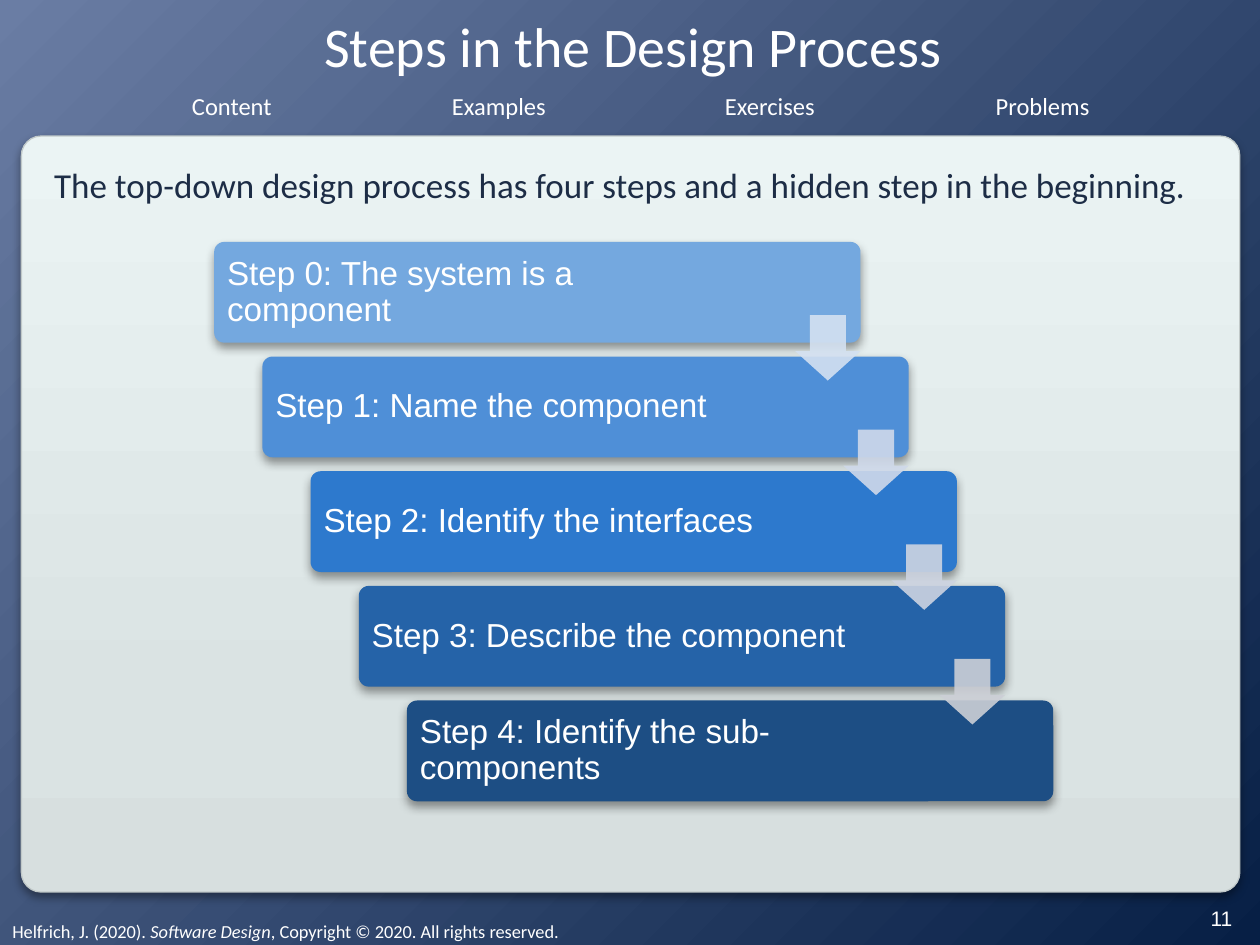
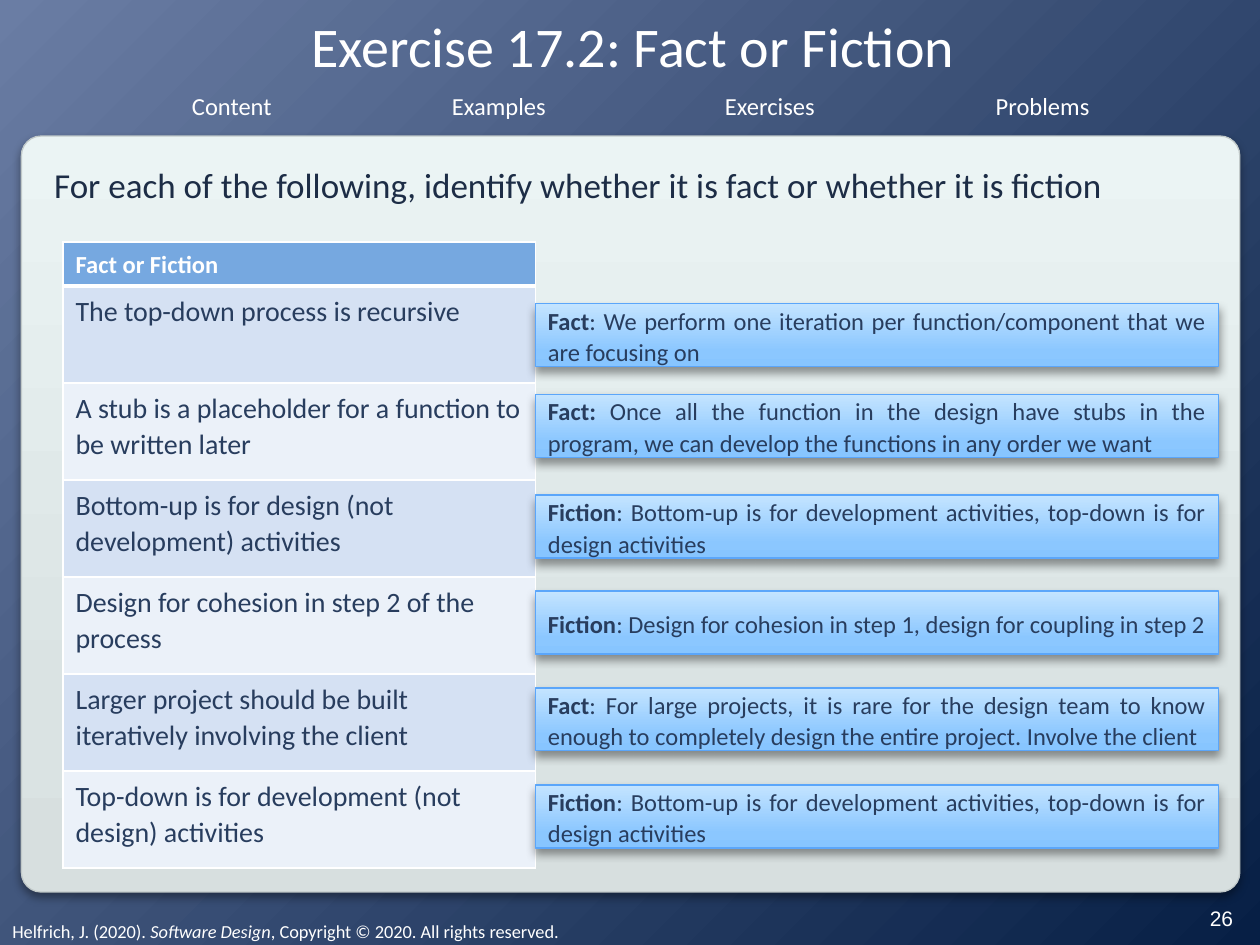
from copy import deepcopy

from lxml.etree import SubElement
from pptx import Presentation
from pptx.dml.color import RGBColor
from pptx.enum.shapes import MSO_SHAPE
from pptx.enum.text import MSO_ANCHOR, MSO_AUTO_SIZE, PP_ALIGN
from pptx.oxml import parse_xml
from pptx.oxml.ns import nsdecls, qn
from pptx.util import Inches, Pt

WHITE = RGBColor(0xFF, 0xFF, 0xFF)
INK = RGBColor(0x1D, 0x2D, 0x46)
SLATE = RGBColor(0x28, 0x3D, 0x5E)
BACKDROP = [RGBColor(0x6A, 0x7D, 0xA4), RGBColor(0x07, 0x1F, 0x45)]
PANEL = [RGBColor(0xD7, 0xDF, 0xDF), RGBColor(0xDA, 0xE3, 0xE3), RGBColor(0xEB, 0xF4, 0xF4)]
PANEL_LINE = RGBColor(0xC1, 0xC9, 0xC9)
ANSWER = [RGBColor(0x87, 0xC5, 0xFF), RGBColor(0x8B, 0xC7, 0xFF), RGBColor(0xC4, 0xE4, 0xFF)]
ANSWER_LINE = RGBColor(0x5B, 0xA6, 0xFA)
HEADER = RGBColor(0x76, 0xA8, 0xE0)
BANDS = [RGBColor(0xEB, 0xF1, 0xF9), RGBColor(0xD5, 0xE1, 0xF3)]


def add_box(slide, kind, box, colors, line=None):
    """Add a shadowed shape; three colours give an upward gradient, one a solid fill."""
    sp = slide.shapes.add_shape(kind, *map(Inches, box))
    if len(colors) == 1:
        sp.fill.solid()
        sp.fill.fore_color.rgb = colors[0]
    else:
        sp.fill.gradient()
        sp.fill.gradient_angle = 90
        first = sp.element.xpath(".//a:gs")[0]
        first.addnext(deepcopy(first))
        for stop, position, color in zip(sp.fill.gradient_stops, (0, 0.25, 1), colors):
            stop.position = position
            stop.color.rgb = color
    if line is None:
        sp.line.fill.background()
    else:
        sp.line.color.rgb = line
        sp.line.width = Pt(0.75)
    sp.shadow.inherit = False
    sp.element.spPr.find(qn("a:effectLst")).append(parse_xml(
        f'<a:outerShdw {nsdecls("a")} blurRad="66040" dist="38100" dir="5400000" rotWithShape="0">'
        '<a:srgbClr val="000000"><a:alpha val="40000"/></a:srgbClr></a:outerShdw>'))
    return sp


def write(tf, parts, size, color=WHITE, font="Calibri", align=PP_ALIGN.LEFT, spacing=None):
    """Write the parts as runs of one paragraph and return it."""
    p = tf.paragraphs[0]
    p.alignment = align
    p.line_spacing = spacing
    for part in parts:
        r = p.add_run()
        r.text = part
        r.font.size = Pt(size)
        r.font.name = font
        r.font.color.rgb = color
    return p


prs = Presentation()
prs.slide_width, prs.slide_height = Inches(10), Inches(7.5)

# Shared layout: background, placeholders, panel, navigation, footer
layout = prs.slide_layouts[1]
title_ph, body_ph, *unused = layout.placeholders
for ph in unused:
    ph.element.getparent().remove(ph.element)
for ph, box in ((title_ph, (0.22, 0.11, 9.61, 0.5)), (body_ph, (0.33, 1.25, 9.33, 0.5))):
    ph.left, ph.top, ph.width, ph.height = map(Inches, box)

fill = layout.background.fill
fill.gradient()
for stop, color in zip(fill.gradient_stops, BACKDROP):
    stop.color.rgb = color
lin = layout.element.xpath(".//p:bgPr//a:lin")[0]
lin.getparent().replace(lin, parse_xml(
    f'<a:path {nsdecls("a")} path="circle"><a:fillToRect r="100000" b="100000"/></a:path>'))

steps_slide, quiz_slide = (prs.slides.add_slide(layout) for _ in range(2))

panel = add_box(steps_slide, MSO_SHAPE.ROUNDED_RECTANGLE, (0.17, 1.08, 9.67, 6), PANEL, PANEL_LINE)
panel.adjustments[0] = 0.026
shared = [panel]
for label, left, width in (("Content", 1.42, 0.84), ("Examples", 3.48, 0.96),
                           ("Exercises", 5.65, 0.92), ("Problems", 7.8, 0.95)):
    nav = steps_slide.shapes.add_textbox(Inches(left), Inches(0.67), Inches(width), Inches(0.34))
    write(nav.text_frame, [label], 14, align=PP_ALIGN.CENTER)
    shared.append(nav)
footer = steps_slide.shapes.add_textbox(Inches(0), Inches(7.25), Inches(9), Inches(0.29))
footer.text_frame.word_wrap = True
p = write(footer.text_frame, ["Helfrich, J. (2020). ", "Software Design",
                              ", Copyright © 2020. All rights reserved."], 10.5)
p.runs[1].font.italic = True
shared.append(footer)
for sp in shared:
    layout.shapes.element.append(sp.element)

# Title, lead sentence and number of each slide
for slide, title, lead, number in (
    (steps_slide, "Steps in the Design Process",
     "The top-down design process has four steps and a hidden step in the beginning.", "11"),
    (quiz_slide, "Exercise 17.2: Fact or Fiction",
     "For each of the following, identify whether it is fact or whether it is fiction", "26"),
):
    tf = slide.shapes.title.text_frame
    tf.margin_left = tf.margin_right = tf.margin_top = tf.margin_bottom = 0
    tf.vertical_anchor = MSO_ANCHOR.MIDDLE
    write(tf, [title], 32, align=PP_ALIGN.CENTER)

    tf = slide.placeholders[1].text_frame
    tf.auto_size = MSO_AUTO_SIZE.NONE
    p = write(tf, [lead], 20, INK)
    p.space_before = Pt(0)
    pPr = p._p.get_or_add_pPr()
    pPr.set("marL", "0")
    pPr.set("indent", "0")
    SubElement(pPr, qn("a:buNone"))

    tf = slide.shapes.add_textbox(Inches(9.36), Inches(7.08), Inches(0.67), Inches(0.42)).text_frame
    tf.word_wrap = True
    tf.vertical_anchor = MSO_ANCHOR.MIDDLE
    write(tf, [number], 12, font="Arial", align=PP_ALIGN.CENTER)

# Slide 1: staircase of steps joined by arrows
STEPS = [
    ("Step 0: The system is a component", RGBColor(0x74, 0xA8, 0xDF)),
    ("Step 1: Name the component", RGBColor(0x4F, 0x8F, 0xD7)),
    ("Step 2: Identify the interfaces", RGBColor(0x2D, 0x79, 0xCD)),
    ("Step 3: Describe the component", RGBColor(0x25, 0x63, 0xA8)),
    ("Step 4: Identify the sub-components", RGBColor(0x1D, 0x4E, 0x84)),
]
ARROWS = [RGBColor(0xD4, 0xE1, 0xF1), RGBColor(0xCF, 0xD9, 0xEA),
          RGBColor(0xCD, 0xD4, 0xE1), RGBColor(0xCC, 0xCF, 0xD6)]
corners = [(1.7 + 1.53 * i / 4, 1.92 + 0.91 * i) for i in range(len(STEPS))]

for (text, color), (left, top) in zip(STEPS, corners):
    sp = add_box(steps_slide, MSO_SHAPE.ROUNDED_RECTANGLE, (left, top, 5.13, 0.8), [color])
    sp.adjustments[0] = 0.1
    tf = sp.text_frame
    tf.word_wrap = True
    tf.vertical_anchor = MSO_ANCHOR.MIDDLE
    tf.margin_left = tf.margin_top = tf.margin_bottom = Inches(0.08)
    tf.margin_right = Inches(0.99)
    write(tf, [text], 19, font="Arial", spacing=0.9)

for color, (left, top) in zip(ARROWS, corners):
    arrow = steps_slide.shapes.add_shape(MSO_SHAPE.DOWN_ARROW, Inches(left + 4.61),
                                         Inches(top + 0.58), Inches(0.52), Inches(0.52))
    arrow.adjustments[0], arrow.adjustments[1] = 0.55, 0.45
    arrow.shadow.inherit = False
    arrow.line.fill.background()
    arrow.fill.solid()
    arrow.fill.fore_color.rgb = color
    SubElement(arrow.element.spPr.find(qn("a:solidFill"))[0], qn("a:alpha"), val="90000")

# Slide 2: statements in a table, answers beside them
QUIZ = [
    ("The top-down process is recursive", 2.41,
     "Fact", ": We perform one iteration per function/component that we are focusing on"),
    ("A stub is a placeholder for a function to be written later", 3.13,
     "Fact: ", "Once all the function in the design have stubs in the program, "
     "we can develop the functions in any order we want"),
    ("Bottom-up is for design (not development) activities", 3.93,
     "Fiction", ": Bottom-up is for development activities, top-down is for design activities"),
    ("Design for cohesion in step 2 of the process", 4.69,
     "Fiction", ": Design for cohesion in step 1, design for coupling in step 2"),
    ("Larger project should be built iteratively involving the client", 5.46,
     "Fact", ": For large projects, it is rare for the design team to know enough "
     "to completely design the entire project. Involve the client"),
    ("Top-down is for development (not design) activities", 6.23,
     "Fiction", ": Bottom-up is for development activities, top-down is for design activities"),
]
statements = ["Fact or Fiction"] + [row[0] for row in QUIZ]
table = quiz_slide.shapes.add_table(len(statements), 1, Inches(0.5), Inches(1.92),
                                    Inches(3.75), Inches(4.93)).table
table.horz_banding = False
for i, statement in enumerate(statements):
    is_header = i == 0
    table.rows[i].height = Inches(0.31 if is_header else 0.77)
    cell = table.cell(i, 0)
    tcPr = cell._tc.get_or_add_tcPr()
    for side in "LRTB":
        thick = (is_header and side == "B") or (i == 1 and side == "T")
        tcPr.append(parse_xml(
            f'<a:ln{side} {nsdecls("a")} w="{Pt(3 if thick else 1)}">'
            f'<a:solidFill><a:srgbClr val="{WHITE}"/></a:solidFill></a:ln{side}>'))
    cell.fill.solid()
    cell.fill.fore_color.rgb = HEADER if is_header else BANDS[i % 2]
    p = write(cell.text_frame, [statement], 14 if is_header else 16,
              WHITE if is_header else SLATE, spacing=1.07)
    p.runs[0].font.bold = is_header

for _, top, verdict, reason in QUIZ:
    sp = add_box(quiz_slide, MSO_SHAPE.RECTANGLE, (4.25, top, 5.42, 0.5), ANSWER, ANSWER_LINE)
    tf = sp.text_frame
    tf.word_wrap = True
    tf.vertical_anchor = MSO_ANCHOR.MIDDLE
    tf.margin_top = tf.margin_bottom = 0
    p = write(tf, [verdict, reason], 14, SLATE, align=PP_ALIGN.JUSTIFY, spacing=1.07)
    p.runs[0].font.bold = True

prs.save("out.pptx")
